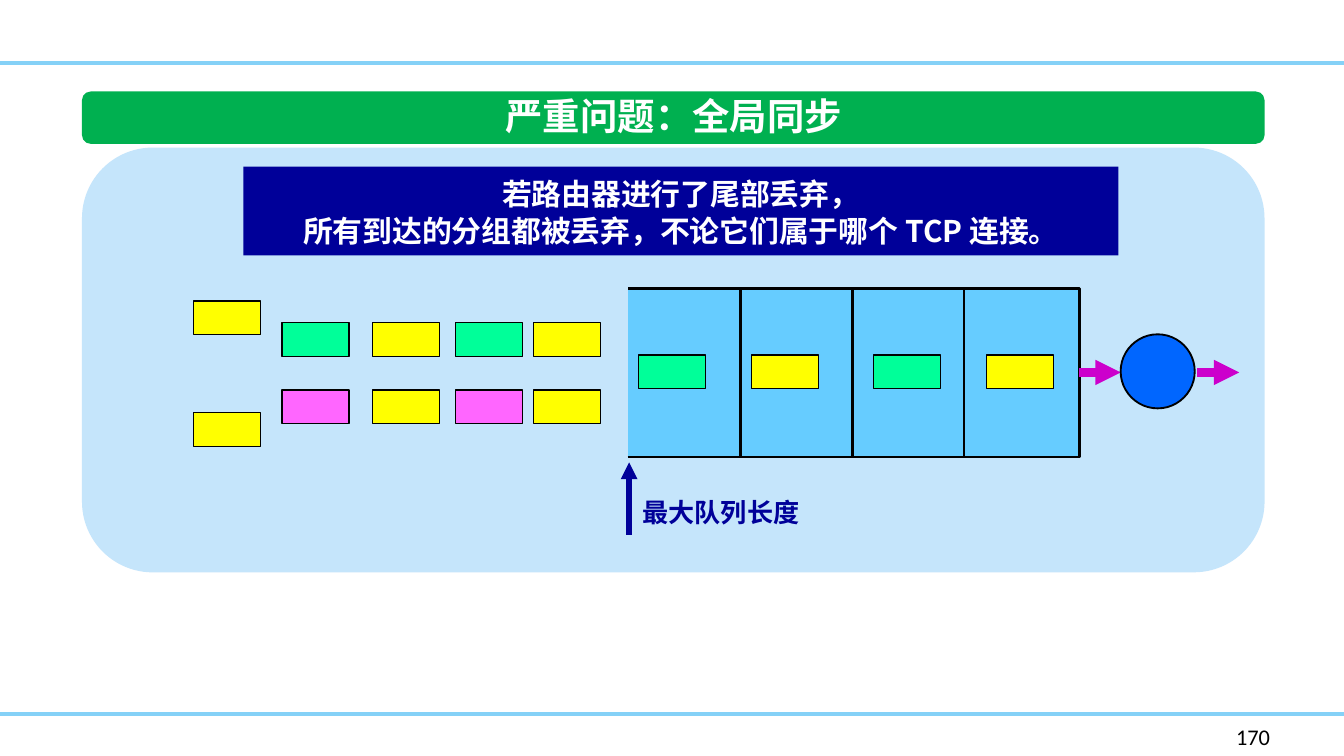
from lxml.etree import SubElement
from pptx import Presentation
from pptx.dml.color import RGBColor
from pptx.enum.shapes import MSO_CONNECTOR, MSO_SHAPE
from pptx.enum.text import MSO_ANCHOR, PP_ALIGN
from pptx.oxml.ns import qn
from pptx.util import Cm, Pt

CHINESE = "Noto Sans CJK SC"
YELLOW, GREEN, PINK = "FFFF00", "00FF99", "FF66FF"
NAVY, PURPLE, BLACK, WHITE = "000099", "CC00CC", "000000", "FFFFFF"


def color(value):
    return RGBColor.from_string(value)


def write(frame, text, size=16, font=CHINESE, ink=WHITE, bold=True,
          align=PP_ALIGN.LEFT, spacing=None, wrap=True, anchor=MSO_ANCHOR.TOP):
    frame.word_wrap = wrap
    frame.vertical_anchor = anchor
    for index, line in enumerate(text.split("\n")):
        para = frame.paragraphs[0] if index == 0 else frame.add_paragraph()
        para.alignment = align
        if spacing:
            para.line_spacing = Pt(spacing)
        span = para.add_run()
        span.text = line
        span.font.name = font
        span.font.size = Pt(size)
        span.font.bold = bold
        span.font.color.rgb = color(ink)
        SubElement(span.font._element, qn("a:ea"), typeface=font)


class Painter:
    packet_width = 1.27
    packet_height = 0.64

    def __init__(self, page):
        self.shapes = page.shapes

    def finish(self, shape, fill, line, width):
        shape.shadow.inherit = False
        shape.fill.solid()
        shape.fill.fore_color.rgb = color(fill)
        if line:
            shape.line.color.rgb = color(line)
            shape.line.width = Pt(width)
        else:
            shape.line.fill.background()
        return shape

    def shape(self, kind, left, top, width, height, fill, line=None, weight=0.75):
        box = self.shapes.add_shape(kind, Cm(left), Cm(top), Cm(width), Cm(height))
        return self.finish(box, fill, line, weight)

    def packet(self, left, top, fill):
        return self.shape(MSO_SHAPE.RECTANGLE, left, top, self.packet_width,
                          self.packet_height, fill, BLACK)

    def outline(self, points, fill, line, weight):
        corners = [(Cm(x), Cm(y)) for x, y in points]
        builder = self.shapes.build_freeform(*corners[0])
        builder.add_line_segments(corners[1:], close=False)
        return self.finish(builder.convert_to_shape(), fill, line, weight)

    def line(self, x1, y1, x2, y2, ink, weight, arrow=False):
        connector = self.shapes.add_connector(
            MSO_CONNECTOR.STRAIGHT, Cm(x1), Cm(y1), Cm(x2), Cm(y2))
        connector.line.color.rgb = color(ink)
        connector.line.width = Pt(weight)
        if arrow:
            SubElement(connector.line._get_or_add_ln(), qn("a:tailEnd"), type="triangle")
        SubElement(connector._element.spPr, qn("a:effectLst"))
        return connector

    def label(self, left, top, width, height, text, **style):
        box = self.shapes.add_textbox(Cm(left), Cm(top), Cm(width), Cm(height))
        write(box.text_frame, text, **style)
        return box


def main():
    deck = Presentation()
    deck.slide_width, deck.slide_height = Cm(25.4), Cm(14.29)
    painter = Painter(deck.slides.add_slide(deck.slide_layouts[6]))

    for height in (1.19, 13.49):
        painter.line(0, height, 25.4, height, "85D1F7", 2)

    painter.shape(MSO_SHAPE.ROUNDED_RECTANGLE, 1.55, 1.73, 22.35, 0.99, "00B050")
    painter.label(9.27, 1.63, 6.93, 1.12, "严重问题：全局同步",
                  size=20, align=PP_ALIGN.CENTER, wrap=False)
    painter.shape(MSO_SHAPE.ROUNDED_RECTANGLE, 1.55, 2.79, 22.35, 8.03, "C5E5FB")

    arrivals = [(5.33, GREEN, PINK), (7.04, YELLOW, YELLOW),
                (8.61, GREEN, PINK), (10.08, YELLOW, YELLOW)]
    for left, upper, lower in arrivals:
        painter.packet(left, 6.1, upper)
        painter.packet(left, 7.37, lower)
    for top in (5.69, 7.8):
        painter.packet(3.66, top, YELLOW)

    banner = painter.shape(MSO_SHAPE.RECTANGLE, 4.6, 3.15, 16.54, 1.68, NAVY)
    write(banner.text_frame,
          "若路由器进行了尾部丢弃，\n所有到达的分组都被丢弃，不论它们属于哪个 TCP 连接。",
          align=PP_ALIGN.CENTER, spacing=20, anchor=MSO_ANCHOR.MIDDLE)

    left, right, top, bottom = 11.86, 20.4, 5.46, 8.64
    painter.outline([(left, bottom), (right, bottom), (right, top), (left, top)],
                    "66CCFF", BLACK, 1.5)
    for index in range(3):
        divider = 14 + 2.11 * index
        painter.line(divider, top, divider, bottom, BLACK, 1.5)

    painter.line(right, 7.04, 21.18, 7.04, PURPLE, 4.5, arrow=True)
    painter.shape(MSO_SHAPE.OVAL, 21.18, 6.32, 1.4, 1.4, "0066FF", BLACK, 1)
    painter.line(22.63, 7.04, 23.42, 7.04, PURPLE, 4.5, arrow=True)

    queued = [(12.07, GREEN), (14.2, YELLOW), (16.51, GREEN), (18.64, YELLOW)]
    for place, fill in queued:
        painter.packet(place, 6.71, fill)

    painter.line(11.89, 10.11, 11.89, 8.74, NAVY, 3, arrow=True)
    painter.label(11.89, 9.25, 3.51, 0.86, "最大队列长度",
                  size=14, ink=NAVY, wrap=False)
    painter.label(23.11, 13.54, 1.93, 0.76, "170",
                  size=12, font="Calibri", ink=BLACK, bold=False)
    deck.save("out.pptx")


if __name__ == "__main__":
    main()
